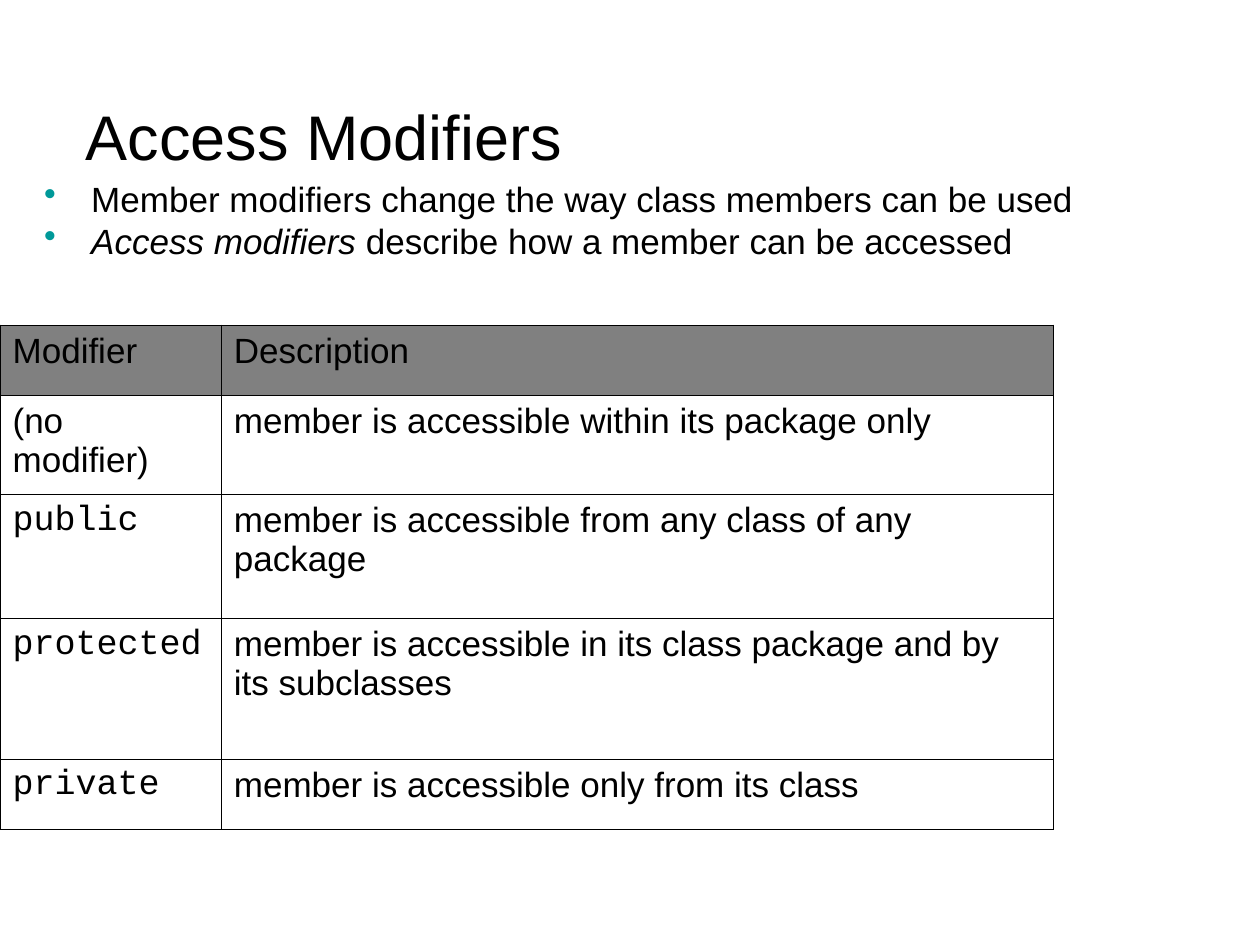
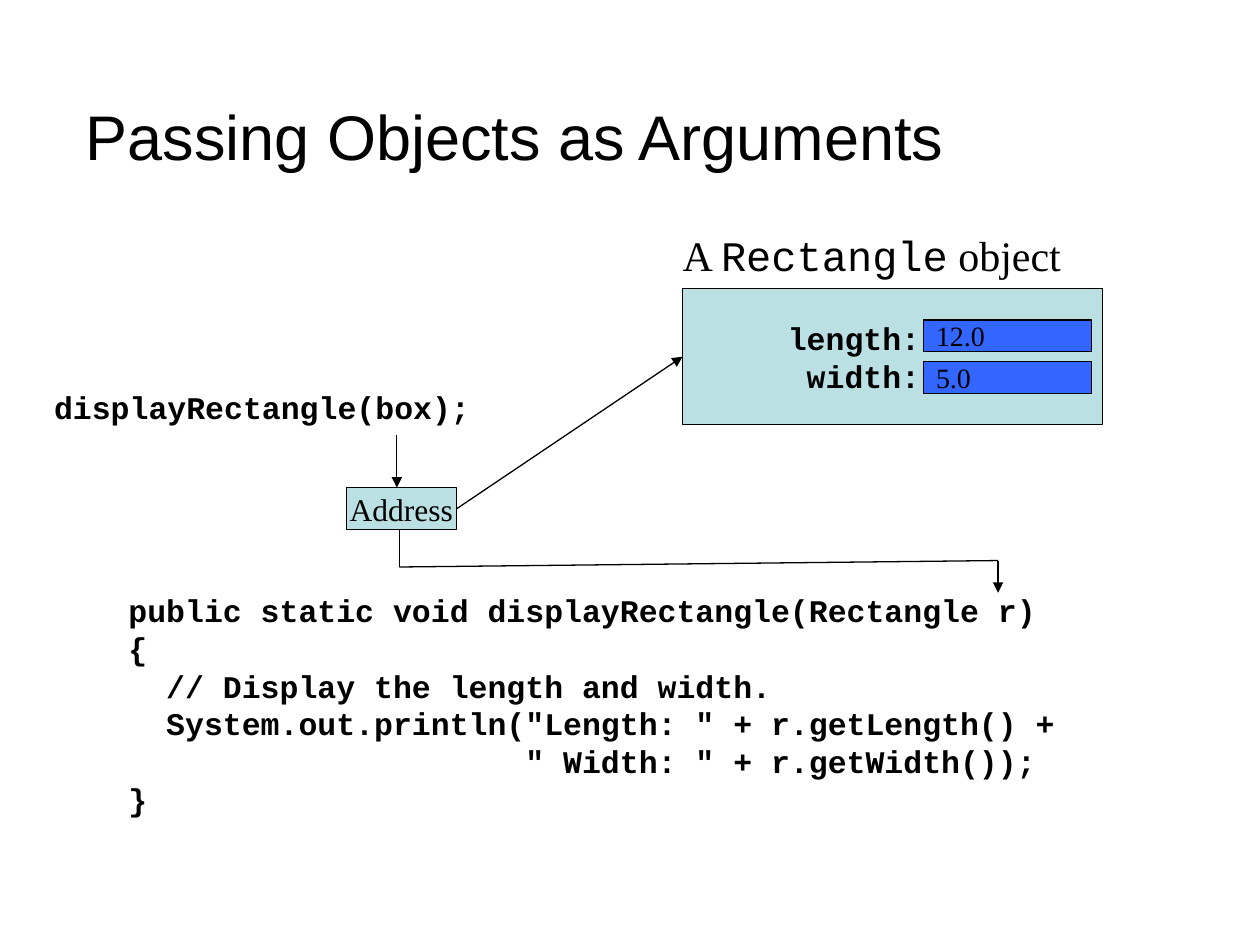
"""Build two slides on access modifiers and on passing objects as arguments."""
from lxml import etree
from pptx import Presentation
from pptx import util as u
from pptx.dml.color import RGBColor
from pptx.enum import shapes, text
from pptx.oxml import parse_xml
from pptx.oxml.ns import nsdecls, qn

BLACK, GREY, TEAL = "000000", "808080", "009999"
PALE, BLUE = "BBE0E3", "3366FF"
SANS, SERIF, MONO = "Arial", "Times New Roman", "Courier New"
OUTER, INNER = 1.08, 0.45
CODE_PITCH = 21.6

TITLES = ["Access Modifiers", "Passing Objects as Arguments"]
TITLE_BOX = (1.48, 0.84, 23.92, 2.77)

BULLETS = [
    [("Member modifiers change the way class members can be used", False)],
    [("Access modifiers", True), (" describe how a member can be accessed", False)],
]
MODIFIERS = [
    ("Modifier", "Description"),
    ("(no modifier)", "member is accessible within its package only"),
    ("public", "member is accessible from any class of any package"),
    ("protected", "member is accessible in its class package and by its subclasses"),
    ("private", "member is accessible only from its class"),
]
KEYWORDS = ("public", "protected", "private")
COLUMN_WIDTHS = [4.46, 16.78]
ROW_HEIGHTS = [1.41, 2.0, 2.5, 2.84, 1.41]

CALL = ["displayRectangle(box);"]
METHOD = [
    "public static void displayRectangle(Rectangle r)",
    "{",
    "  // Display the length and width.",
    '  System.out.println("Length: " + r.getLength() +',
    '                     " Width: " + r.getWidth());',
    "}",
]
OBJECT_LABEL = [("A ", SERIF), ("Rectangle", MONO), (" object", SERIF)]
FIELDS = [("length:", "12.0"), ("width:", "5.0")]
OBJECT_BOX = (13.76, 5.82, 8.47, 2.74)
ADDRESS_BOX = (6.98, 9.83, 2.22, 0.85)
LINKS = [
    ((8.0, 8.76), (8.0, 9.83), True),
    ((20.12, 11.3), (20.12, 11.95), True),
    ((8.05, 10.68), (8.05, 11.43), False),
    ((8.05, 11.43), (20.12, 11.3), False),
    ((9.2, 10.26), (13.76, 7.19), True),
]


def colour(code):
    return RGBColor.from_string(code)


def set_font(font, name, size, bold=False):
    font.name, font.size, font.bold = name, u.Pt(size), bold
    font.color.rgb = colour(BLACK)


def prepare_frame(shape, anchor=text.MSO_ANCHOR.TOP):
    frame = shape.text_frame
    frame.word_wrap = True
    frame.vertical_anchor = anchor
    return frame


def add_text_box(slide, box, anchor=text.MSO_ANCHOR.TOP):
    return prepare_frame(slide.shapes.add_textbox(*map(u.Cm, box)), anchor)


def write_lines(frame, lines, name, size, bold=False, align=text.PP_ALIGN.LEFT, pitch=None):
    for index, line in enumerate(lines):
        paragraph = frame.add_paragraph() if index else frame.paragraphs[0]
        paragraph.text = line
        paragraph.alignment = align
        if pitch:
            paragraph.line_spacing = u.Pt(pitch)
        set_font(paragraph.font, name, size, bold)


def write_code(frame, lines, align=text.PP_ALIGN.LEFT):
    write_lines(frame, lines, MONO, 18, True, align, CODE_PITCH)


def add_rectangle(slide, box, fill):
    shape = slide.shapes.add_shape(shapes.MSO_SHAPE.RECTANGLE, *map(u.Cm, box))
    shape.shadow.inherit = False
    shape.fill.solid()
    shape.fill.fore_color.rgb = colour(fill)
    shape.line.color.rgb = colour(BLACK)
    shape.line.width = u.Pt(0.75)
    frame = prepare_frame(shape, text.MSO_ANCHOR.MIDDLE)
    frame.margin_top = frame.margin_bottom = 0
    return frame


def add_link(slide, start, end, arrow):
    link = slide.shapes.add_connector(
        shapes.MSO_CONNECTOR.STRAIGHT, *map(u.Cm, start + end))
    link.line.color.rgb = colour(BLACK)
    link.line.width = u.Pt(0.75)
    if arrow:
        etree.SubElement(link.line._get_or_add_ln(), qn("a:tailEnd"), type="triangle")
    etree.SubElement(link._element.spPr, qn("a:effectLst"))


def add_bullet(paragraph):
    properties = paragraph._p.get_or_add_pPr()
    properties.set("marL", str(u.Cm(0.95)))
    properties.set("indent", str(-u.Cm(0.95)))
    bullet_colour = etree.SubElement(properties, qn("a:buClr"))
    etree.SubElement(bullet_colour, qn("a:srgbClr"), val=TEAL)
    etree.SubElement(properties, qn("a:buChar"), char="•")


def set_borders(cell, widths):
    properties = cell._tc.get_or_add_tcPr()
    for side, width in zip("LRTB", widths):
        properties.append(parse_xml(
            f'<a:ln{side} {nsdecls("a")} w="{u.Pt(width)}"><a:solidFill>'
            f'<a:srgbClr val="{BLACK}"/></a:solidFill></a:ln{side}>'))


def add_modifier_table(slide):
    size = len(MODIFIERS), len(COLUMN_WIDTHS)
    frame = slide.shapes.add_table(
        *size, *map(u.Cm, (0, 6.56, sum(COLUMN_WIDTHS), sum(ROW_HEIGHTS))))
    table = frame.table
    table.first_row = table.horz_banding = False
    for column, width in zip(table.columns, COLUMN_WIDTHS):
        column.width = u.Cm(width)
    for row, height in zip(table.rows, ROW_HEIGHTS):
        row.height = u.Cm(height)
    for r, entries in enumerate(MODIFIERS):
        for c, entry in enumerate(entries):
            cell = table.cell(r, c)
            edges = (c == 0, c == size[1] - 1, r == 0, r == size[0] - 1)
            set_borders(cell, [OUTER if edge else INNER for edge in edges])
            if r == 0:
                cell.fill.solid()
                cell.fill.fore_color.rgb = colour(GREY)
            else:
                cell.fill.background()
            write_lines(cell.text_frame, [entry], MONO if entry in KEYWORDS else SANS, 20)


def fill_modifiers_slide(slide):
    frame = add_text_box(slide, (0.64, 3.61, 23.5, 1.9))
    for index, parts in enumerate(BULLETS):
        paragraph = frame.add_paragraph() if index else frame.paragraphs[0]
        paragraph.line_spacing = 0.8
        if index:
            paragraph.space_before = u.Pt(5)
        add_bullet(paragraph)
        set_font(paragraph.font, SANS, 20)
        for words, italic in parts:
            run = paragraph.add_run()
            run.text = words
            run.font.italic = italic
    add_modifier_table(slide)


def fill_arguments_slide(slide):
    write_code(add_text_box(slide, (0.84, 7.7, 9.5, 1.02)), CALL)
    write_code(add_text_box(slide, (2.34, 11.79, 20, 4.83)), METHOD)

    label = add_text_box(slide, (13.51, 4.5, 9, 1.27)).paragraphs[0]
    for words, name in OBJECT_LABEL:
        run = label.add_run()
        run.text = words
        set_font(run.font, name, 24)

    frame = add_rectangle(slide, OBJECT_BOX, PALE)
    frame.margin_right = u.Cm(3.68)
    write_code(frame, [name for name, _ in FIELDS], text.PP_ALIGN.RIGHT)
    for index, (_, value) in enumerate(FIELDS):
        frame = add_rectangle(slide, (18.62, 6.45 + 0.84 * index, 3.39, 0.64), BLUE)
        write_lines(frame, [value], SERIF, 16)

    frame = add_rectangle(slide, ADDRESS_BOX, PALE)
    frame.margin_left = frame.margin_right = 0
    write_lines(frame, ["Address"], SERIF, 18, align=text.PP_ALIGN.CENTER)
    for link in LINKS:
        add_link(slide, *link)


def main():
    presentation = Presentation()
    presentation.slide_width, presentation.slide_height = u.Cm(25.4), u.Cm(19.05)
    for title, fill_slide in zip(TITLES, (fill_modifiers_slide, fill_arguments_slide)):
        slide = presentation.slides.add_slide(presentation.slide_layouts[6])
        frame = add_text_box(slide, TITLE_BOX, text.MSO_ANCHOR.BOTTOM)
        write_lines(frame, [title], SANS, 36)
        fill_slide(slide)
    presentation.save("out.pptx")


if __name__ == "__main__":
    main()
